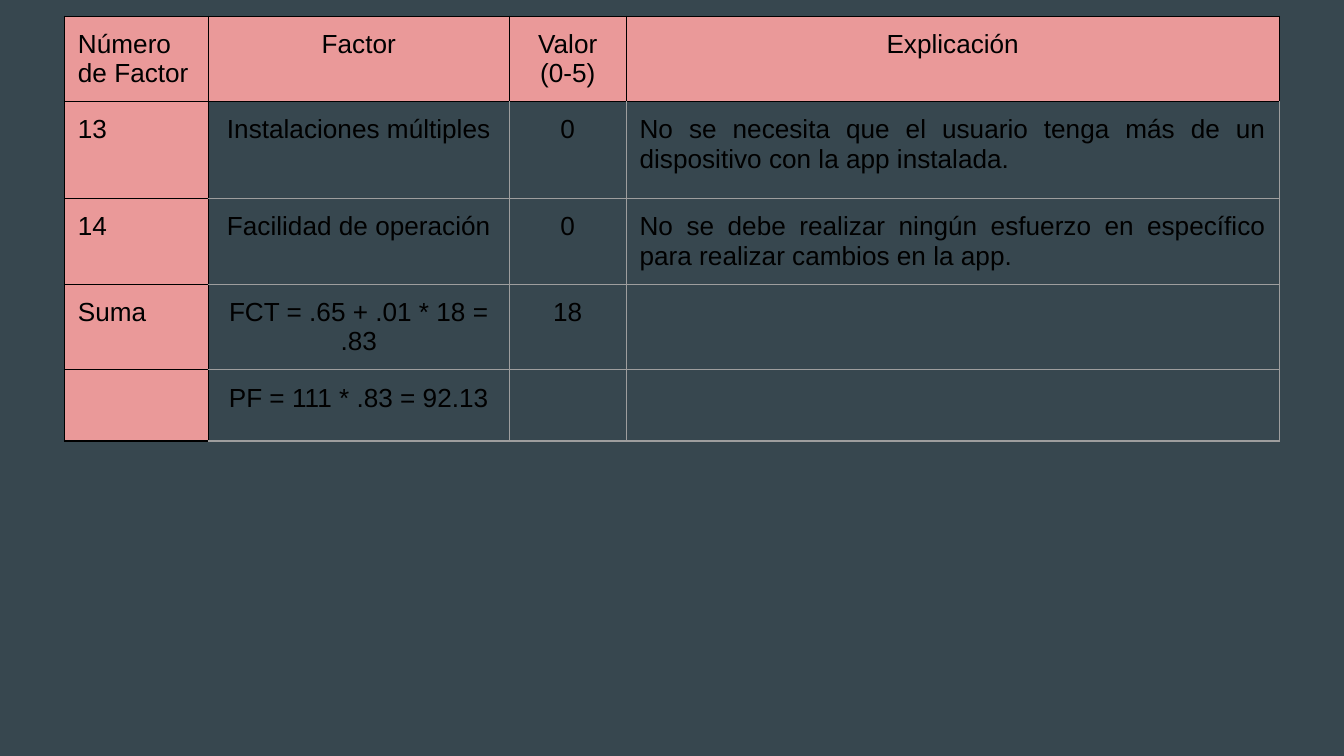
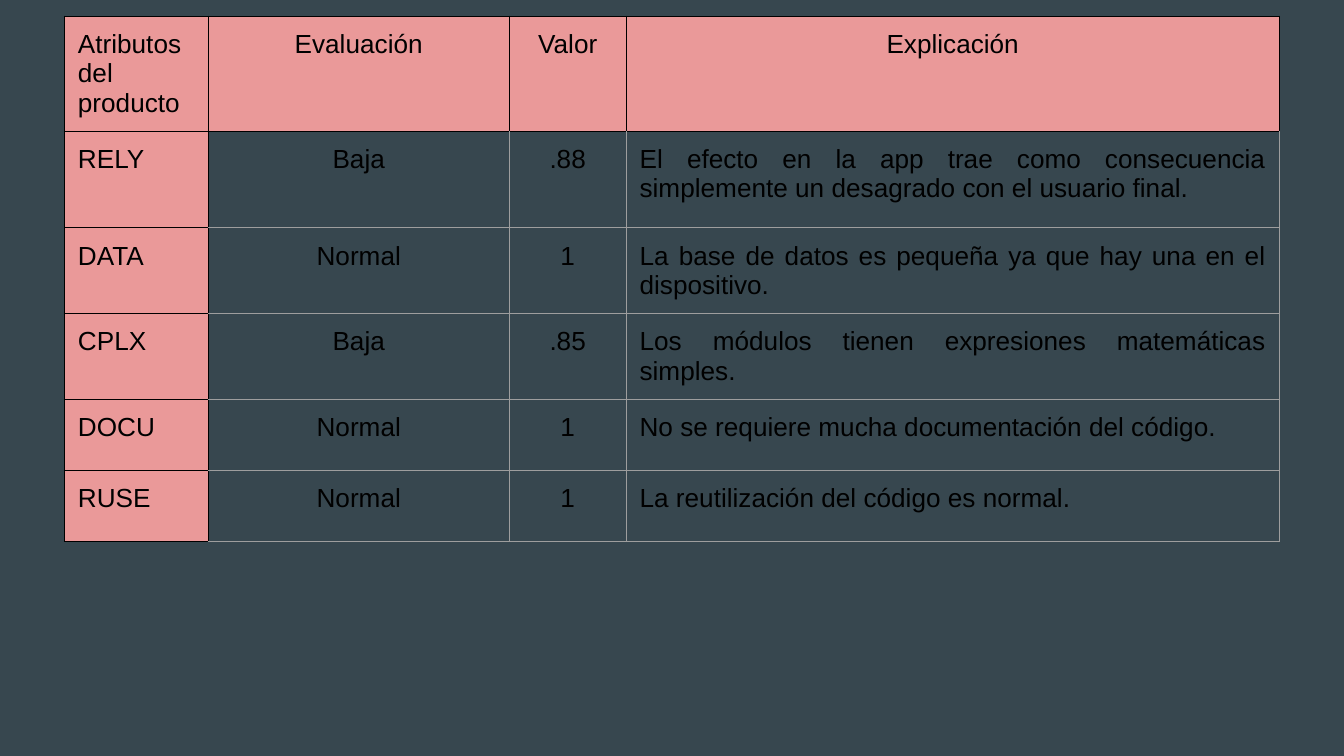
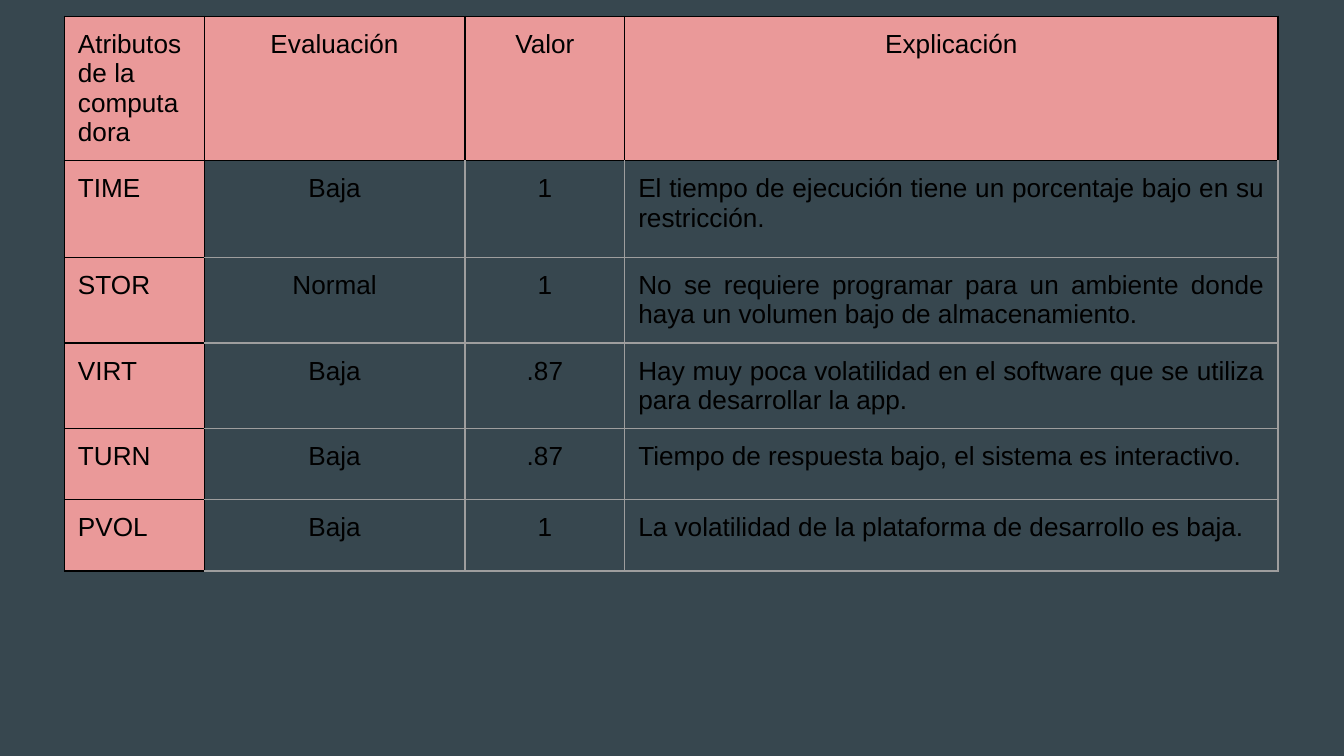
"""Build three slides of factor and attribute tables on a dark background."""
from lxml import etree
from pptx import Presentation
from pptx import util as u
from pptx.dml.color import RGBColor
from pptx.enum import text
from pptx.oxml import ns

SCALE = 4572
BACKGROUND = RGBColor(0x37, 0x47, 0x4F)
ACCENT = RGBColor(0xEA, 0x99, 0x99)
BLACK = RGBColor(0, 0, 0)
GREY = RGBColor(0x9E, 0x9E, 0x9E)
LEFT, CENTER, JUSTIFY = (
    text.PP_ALIGN.LEFT, text.PP_ALIGN.CENTER, text.PP_ALIGN.JUSTIFY)


def px(length):
    return u.Emu(length * SCALE)


FONT = {"name": "Arial", "size": u.Pt(14)}
MARGINS = {f"margin_{side}": px(20) for side in ("left", "top", "right", "bottom")}
ROW_HEIGHTS = (98, 144, 106, 114, 106, 106)
FACTOR_COLUMNS = (214, 448, 174, 972)
COMPUTER_COLUMNS = (208, 388, 238, 972)

FACTORS = (
    ("Número de Factor", "Factor", "Valor (0-5)", "Explicación"),
    ("13", "Instalaciones múltiples", "0",
     "No se necesita que el usuario tenga más de un dispositivo con la app instalada."),
    ("14", "Facilidad de operación", "0",
     "No se debe realizar ningún esfuerzo en específico para realizar cambios en la app."),
    ("Suma", "FCT = .65 + .01 * 18 = .83", "18", ""),
    ("", "PF = 111 * .83 = 92.13", "", ""),
)
PRODUCT = (
    ("Atributos del producto", "Evaluación", "Valor", "Explicación"),
    ("RELY", "Baja", ".88",
     "El efecto en la app trae como consecuencia simplemente un desagrado con el usuario final."),
    ("DATA", "Normal", "1",
     "La base de datos es pequeña ya que hay una en el dispositivo."),
    ("CPLX", "Baja", ".85", "Los módulos tienen expresiones matemáticas simples."),
    ("DOCU", "Normal", "1", "No se requiere mucha documentación del código."),
    ("RUSE", "Normal", "1", "La reutilización del código es normal."),
)
COMPUTER = (
    ("Atributos de la computadora", "Evaluación", "Valor", "Explicación"),
    ("TIME", "Baja", "1",
     "El tiempo de ejecución tiene un porcentaje bajo en su restricción."),
    ("STOR", "Normal", "1",
     "No se requiere programar para un ambiente donde haya un volumen bajo de almacenamiento."),
    ("VIRT", "Baja", ".87",
     "Hay muy poca volatilidad en el software que se utiliza para desarrollar la app."),
    ("TURN", "Baja", ".87", "Tiempo de respuesta bajo, el sistema es interactivo."),
    ("PVOL", "Baja", "1", "La volatilidad de la plataforma de desarrollo es baja."),
)


class Deck:
    """Hold the presentation style and the current slide."""

    def __init__(self):
        self.presentation = Presentation()
        self.presentation.slide_width = px(2000)
        self.presentation.slide_height = px(1125)
        self.slide = None

    def add_slide(self):
        self.slide = self.presentation.slides.add_slide(
            self.presentation.slide_layouts[6])
        fill = self.slide.background.fill
        fill.solid()
        fill.fore_color.rgb = BACKGROUND

    def add_table(self, rows, column_widths, last_justified):
        heights = ROW_HEIGHTS[:len(rows)]
        table = self.slide.shapes.add_table(
            len(rows), len(column_widths), px(96), px(24),
            px(sum(column_widths)), px(sum(heights))).table
        table.first_row = table.horz_banding = False
        for column, width in zip(table.columns, column_widths):
            column.width = px(width)
        for row, height in zip(table.rows, heights):
            row.height = px(height)
        for i, values in enumerate(rows):
            for j, value in enumerate(values):
                if j == 0:
                    alignment = LEFT
                elif i == 0 or j < 3:
                    alignment = CENTER
                else:
                    alignment = JUSTIFY if i <= last_justified else LEFT
                cell = table.cell(i, j)
                self.set_borders(cell, i, j)
                self.set_fill(cell, i == 0 or j == 0)
                self.set_text(cell, value, alignment)

    def set_borders(self, cell, i, j):
        base = BLACK if i == 0 or j == 0 else GREY
        colors = {
            "L": BLACK if j == 1 else base,
            "R": base,
            "T": BLACK if i == 1 else base,
            "B": base,
        }
        properties = cell._tc.get_or_add_tcPr()
        for side, color in colors.items():
            line = etree.SubElement(
                properties, ns.qn(f"a:ln{side}"), w=str(u.Pt(0.75)))
            fill = etree.SubElement(line, ns.qn("a:solidFill"))
            etree.SubElement(fill, ns.qn("a:srgbClr"), val=str(color))

    def set_fill(self, cell, accented):
        if accented:
            cell.fill.solid()
            cell.fill.fore_color.rgb = ACCENT
        else:
            cell.fill.background()

    def set_text(self, cell, value, alignment):
        for name, margin in MARGINS.items():
            setattr(cell, name, margin)
        paragraph = cell.text_frame.paragraphs[0]
        paragraph.alignment = alignment
        if value:
            font = paragraph.add_run().font
            paragraph.runs[0].text = value
            for name, setting in FONT.items():
                setattr(font, name, setting)
            font.color.rgb = BLACK


def main():
    deck = Deck()
    for rows, column_widths, last_justified in (
            (FACTORS, FACTOR_COLUMNS, 2),
            (PRODUCT, FACTOR_COLUMNS, 3),
            (COMPUTER, COMPUTER_COLUMNS, 3)):
        deck.add_slide()
        deck.add_table(rows, column_widths, last_justified)
    deck.presentation.save("out.pptx")


if __name__ == "__main__":
    main()
